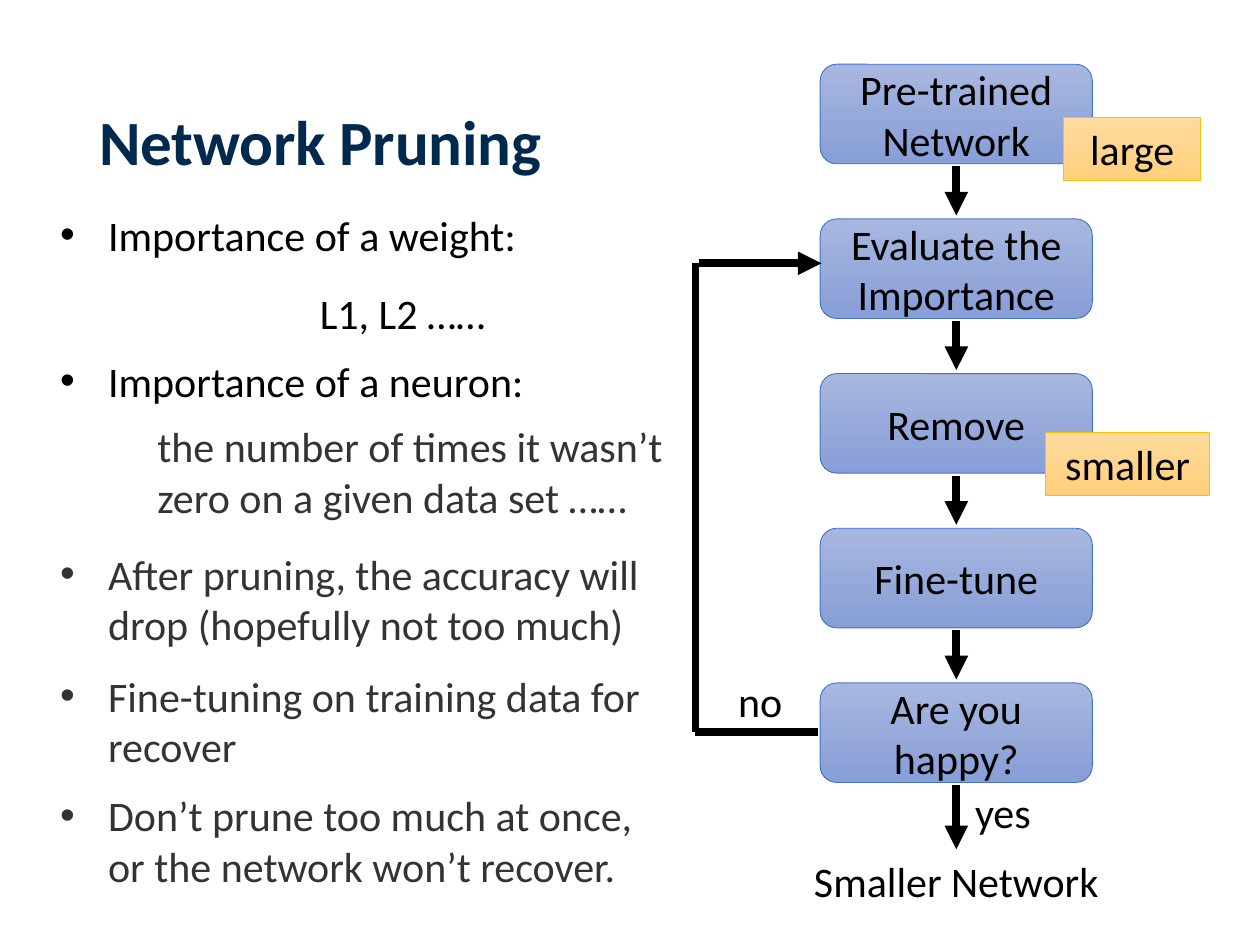
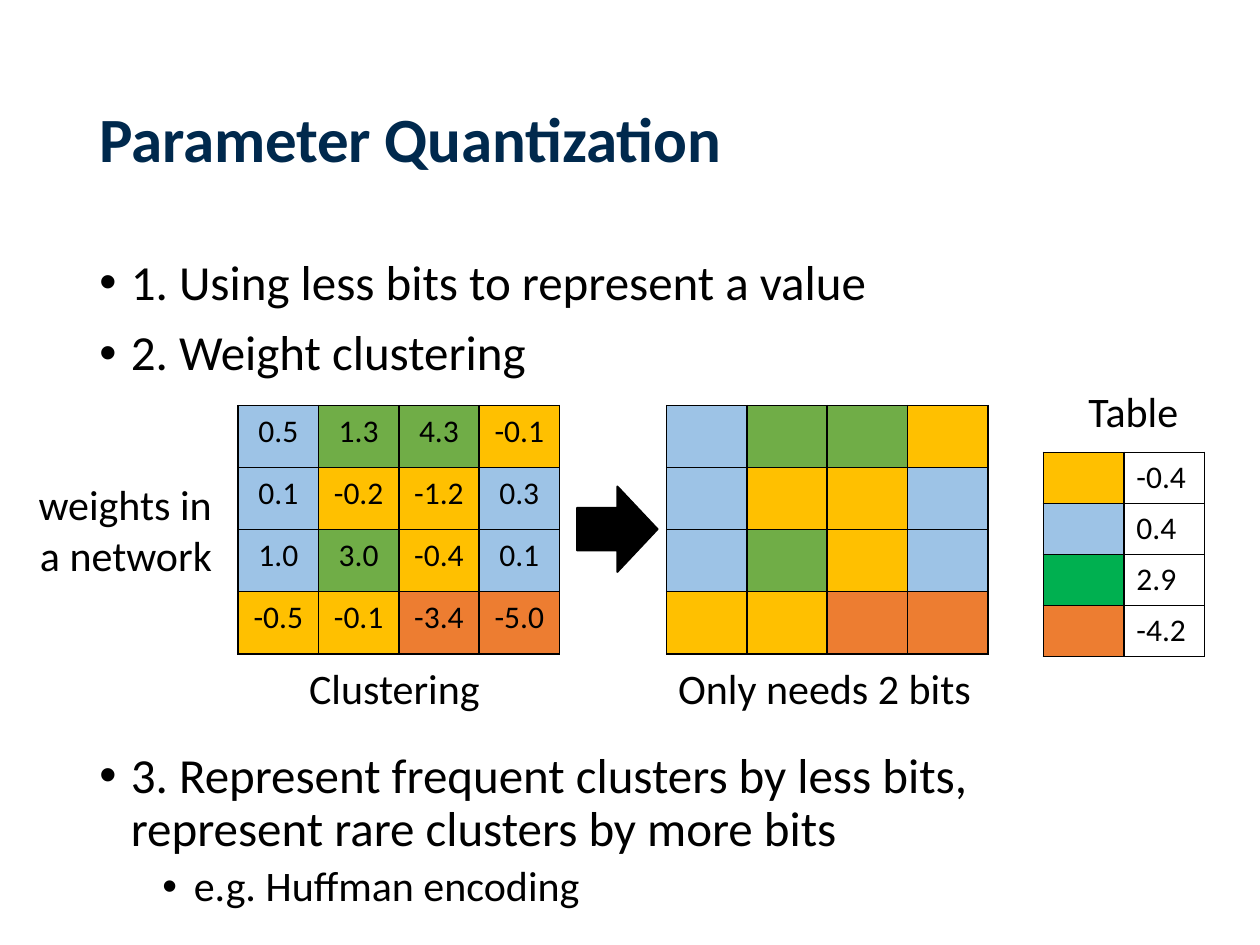
from dataclasses import dataclass
from typing import Optional

from lxml.etree import SubElement
from pptx import Presentation
from pptx.dml.color import RGBColor
from pptx.enum.shapes import MSO_CONNECTOR, MSO_SHAPE
from pptx.enum.text import MSO_ANCHOR, PP_ALIGN
from pptx.oxml.ns import qn
from pptx.shapes.autoshape import Shape
from pptx.slide import Slide
from pptx.table import _Cell
from pptx.text.text import TextFrame
from pptx.util import Inches, Pt


@dataclass(frozen=True)
class Theme:
    font: str = "Calibri"
    title: str = "00294D"
    ink: str = "000000"
    soft_ink: str = "333333"
    step_fill: tuple[str, str] = ("A8B7DF", "889ED7")
    step_line: str = "4472C4"
    tag_fill: tuple[str, str] = ("FFDB9E", "FFD07C")
    tag_line: str = "FFC000"
    blue: str = "9DC3E6"
    green: str = "70AD47"
    bright_green: str = "00B050"
    yellow: str = "FFC000"
    orange: str = "ED7D31"
    title_size: float = 36
    body_size: float = 28
    label_size: float = 24
    cell_size: float = 18
    arrow_width: float = 4.5


THEME = Theme()


@dataclass(frozen=True)
class Box:
    left: float
    top: float
    width: float
    height: float

    def lengths(self) -> tuple[int, int, int, int]:
        return (Inches(self.left), Inches(self.top),
                Inches(self.width), Inches(self.height))


@dataclass(frozen=True)
class Label:
    text: str
    box: Box
    align: PP_ALIGN = PP_ALIGN.LEFT
    color: str = THEME.ink
    bullet: bool = False


@dataclass(frozen=True)
class Line:
    start: tuple[float, float]
    end: tuple[float, float]
    arrow: bool = True


@dataclass(frozen=True)
class GridCell:
    text: str
    fill: Optional[str]


def write_text(frame: TextFrame, text: str, *, size: float = THEME.label_size,
               color: str = THEME.ink, bold: bool = False,
               align: PP_ALIGN = PP_ALIGN.LEFT, spacing: Optional[float] = None,
               before: float = 0, bullet: bool = False, margin: float = 0.38,
               hanging: float = 0.38, tracking: float = 0) -> None:
    for line in text.split("\n"):
        first = not frame.paragraphs[0].runs
        paragraph = frame.paragraphs[0] if first else frame.add_paragraph()
        if bullet:
            properties = paragraph._p.get_or_add_pPr()
            properties.set("marL", str(Inches(margin)))
            properties.set("indent", str(-Inches(hanging)))
            SubElement(properties, qn("a:buFont")).set("typeface", "Arial")
            SubElement(properties, qn("a:buChar")).set("char", "•")
        paragraph.alignment = align
        if spacing:
            paragraph.line_spacing = spacing
        if not first:
            paragraph.space_before = Pt(before)
        run = paragraph.add_run()
        run.text = line
        run.font.name = THEME.font
        run.font.size = Pt(size)
        run.font.bold = bold
        run.font.color.rgb = RGBColor.from_string(color)
        if tracking:
            run._r.get_or_add_rPr().set("spc", str(round(tracking * 100)))


def add_frame(slide: Slide, box: Box) -> TextFrame:
    frame = slide.shapes.add_textbox(*box.lengths()).text_frame
    frame.word_wrap = True
    return frame


def add_title(slide: Slide, text: str, top: float) -> None:
    frame = add_frame(slide, Box(0.69, top, 8.62, 1.45))
    frame.vertical_anchor = MSO_ANCHOR.MIDDLE
    write_text(frame, text, size=THEME.title_size, color=THEME.title,
               bold=True, spacing=0.9, tracking=-0.1)


def add_label(slide: Slide, label: Label) -> None:
    write_text(add_frame(slide, label.box), label.text, align=label.align,
               color=label.color, bullet=label.bullet)


def add_shape(slide: Slide, kind: MSO_SHAPE, box: Box, line: str,
              line_width: float) -> Shape:
    shape = slide.shapes.add_shape(kind, *box.lengths())
    shape.shadow.inherit = False
    shape.line.color.rgb = RGBColor.from_string(line)
    shape.line.width = Pt(line_width)
    return shape


def add_gradient_box(slide: Slide, kind: MSO_SHAPE, box: Box, text: str,
                     colors: tuple[str, str], line: str) -> None:
    shape = add_shape(slide, kind, box, line, 0.5)
    shape.fill.gradient()
    shape.fill.gradient_angle = 270
    for stop, color, position in zip(shape.fill.gradient_stops, colors, (0, 1)):
        stop.color.rgb = RGBColor.from_string(color)
        stop.position = position
    shape.text_frame.word_wrap = True
    shape.text_frame.vertical_anchor = MSO_ANCHOR.MIDDLE
    write_text(shape.text_frame, text, align=PP_ALIGN.CENTER)


def add_line(slide: Slide, line: Line) -> None:
    points = [Inches(value) for value in (*line.start, *line.end)]
    connector = slide.shapes.add_connector(MSO_CONNECTOR.STRAIGHT, *points)
    connector.line.color.rgb = RGBColor.from_string(THEME.ink)
    connector.line.width = Pt(THEME.arrow_width)
    if line.arrow:
        outline = connector.line._get_or_add_ln()
        SubElement(outline, qn("a:tailEnd")).set("type", "triangle")
    SubElement(connector._element.spPr, qn("a:effectLst"))


def add_borders(cell: _Cell) -> None:
    properties = cell._tc.get_or_add_tcPr()
    for side in ("lnL", "lnR", "lnT", "lnB"):
        border = SubElement(properties, qn(f"a:{side}"))
        border.set("w", str(Pt(1)))
        fill = SubElement(border, qn("a:solidFill"))
        SubElement(fill, qn("a:srgbClr")).set("val", THEME.ink)


def add_grid(slide: Slide, box: Box, rows: list[list[GridCell]],
             align: PP_ALIGN = PP_ALIGN.CENTER) -> None:
    table = slide.shapes.add_table(len(rows), len(rows[0]), *box.lengths()).table
    table.first_row = False
    table.horz_banding = False
    for row_index, row in enumerate(rows):
        for column_index, content in enumerate(row):
            cell = table.cell(row_index, column_index)
            add_borders(cell)
            if content.fill:
                cell.fill.solid()
                cell.fill.fore_color.rgb = RGBColor.from_string(content.fill)
            else:
                cell.fill.background()
            if content.text:
                write_text(cell.text_frame, content.text,
                           size=THEME.cell_size, align=align)


def build_pruning(slide: Slide) -> None:
    add_title(slide, "Network Pruning", 0.43)
    steps = ("Pre-trained\nNetwork", "Evaluate the Importance", "Remove",
             "Fine-tune", "Are you happy?")
    first_top, last_top, step_height = 0.51, 5.42, 0.79
    pitch = (last_top - first_top) / (len(steps) - 1)
    for index, step in enumerate(steps):
        top = first_top + index * pitch
        add_gradient_box(slide, MSO_SHAPE.ROUNDED_RECTANGLE,
                         Box(6.51, top, 2.16, step_height), step,
                         THEME.step_fill, THEME.step_line)
        start = top + step_height + 0.02
        length = 0.51 if step == steps[-1] else 0.39
        add_line(slide, Line((7.59, start), (7.59, start + length)))

    loop = (
        Line((5.52, 2.09), (5.52, 5.81), arrow=False),
        Line((6.49, 5.81), (5.52, 5.81), arrow=False),
        Line((5.55, 2.09), (6.52, 2.09)),
    )
    for line in loop:
        add_line(slide, line)

    labels = (
        Label("Smaller Network", Box(6.17, 6.74, 2.84, 0.5), PP_ALIGN.CENTER),
        Label("yes", Box(7.64, 6.19, 0.86, 0.5)),
        Label("no", Box(5.76, 5.31, 0.86, 0.5)),
        Label("Importance of a weight:", Box(0.38, 1.61, 4.4, 0.5), bullet=True),
        Label("L1, L2 ……", Box(2.44, 2.23, 2.34, 0.5)),
        Label("Importance of a neuron:", Box(0.38, 2.77, 4.17, 0.5), bullet=True),
        Label("the number of times it wasn’t zero on a given data set ……",
              Box(1.15, 3.29, 4.69, 0.91), color=THEME.soft_ink),
        Label("After pruning, the accuracy will drop (hopefully not too much)",
              Box(0.38, 4.3, 5, 0.91), color=THEME.soft_ink, bullet=True),
        Label("Fine-tuning on training data for recover",
              Box(0.38, 5.27, 5, 0.91), color=THEME.soft_ink, bullet=True),
        Label("Don’t prune too much at once, or the network won’t recover.",
              Box(0.38, 6.22, 5, 0.91), color=THEME.soft_ink, bullet=True),
    )
    for label in labels:
        add_label(slide, label)

    for text, box in (("large", Box(8.44, 0.93, 1.09, 0.5)),
                      ("smaller", Box(8.3, 3.43, 1.3, 0.5))):
        add_gradient_box(slide, MSO_SHAPE.RECTANGLE, box, text,
                         THEME.tag_fill, THEME.tag_line)


def build_quantization(slide: Slide) -> None:
    add_title(slide, "Parameter Quantization", 0.4)
    point = dict(size=THEME.body_size, spacing=0.9, before=10, bullet=True,
                 margin=0.25, hanging=0.25)
    methods = add_frame(slide, Box(0.69, 2, 8.62, 1.1))
    write_text(methods, "1. Using less bits to represent a value\n"
                        "2. Weight clustering", **point)
    encoding = add_frame(slide, Box(0.69, 5.91, 8.62, 1.44))
    write_text(encoding, "3. Represent frequent clusters by less bits, "
                         "represent rare clusters by more bits", **point)
    write_text(encoding, "e.g. Huffman encoding", spacing=0.9, before=5,
               bullet=True, margin=0.75, hanging=0.25)

    weights = (("0.5", "1.3", "4.3", "-0.1"), ("0.1", "-0.2", "-1.2", "0.3"),
               ("1.0", "3.0", "-0.4", "0.1"), ("-0.5", "-0.1", "-3.4", "-5.0"))
    clusters = ("BGGY", "BYYB", "BGYB", "YYOO")
    colors = {"B": THEME.blue, "G": THEME.green,
              "Y": THEME.yellow, "O": THEME.orange}
    weight_rows = [[GridCell(weight, colors[cluster])
                    for weight, cluster in zip(*pair)]
                   for pair in zip(weights, clusters)]
    cluster_rows = [[GridCell("", colors[cluster]) for cluster in row]
                    for row in clusters]
    centroids = (("-0.4", THEME.yellow), ("0.4", THEME.blue),
                 ("2.9", THEME.bright_green), ("-4.2", THEME.orange))
    centroid_rows = [[GridCell("", color), GridCell(value, None)]
                     for value, color in centroids]
    add_grid(slide, Box(1.89, 3.22, 2.55, 1.97), weight_rows)
    add_grid(slide, Box(5.29, 3.22, 2.55, 1.97), cluster_rows)
    add_grid(slide, Box(8.28, 3.59, 1.28, 1.62), centroid_rows, PP_ALIGN.LEFT)

    arrow = add_shape(slide, MSO_SHAPE.RIGHT_ARROW,
                      Box(4.58, 3.86, 0.64, 0.68), THEME.ink, 1)
    arrow.fill.solid()
    arrow.fill.fore_color.rgb = RGBColor.from_string(THEME.ink)

    labels = (
        Label("weights in a network", Box(0, 3.75, 1.78, 0.91), PP_ALIGN.RIGHT),
        Label("Clustering", Box(2.24, 5.21, 1.78, 0.5), PP_ALIGN.CENTER),
        Label("Only needs 2 bits", Box(5.21, 5.21, 2.67, 0.5), PP_ALIGN.CENTER),
        Label("Table", Box(8.28, 3.01, 1.43, 0.5), PP_ALIGN.CENTER),
    )
    for label in labels:
        add_label(slide, label)


def main() -> None:
    presentation = Presentation()
    presentation.slide_width = Inches(10)
    presentation.slide_height = Inches(7.5)
    for build in (build_pruning, build_quantization):
        build(presentation.slides.add_slide(presentation.slide_layouts[6]))
    presentation.save("out.pptx")


if __name__ == "__main__":
    main()
